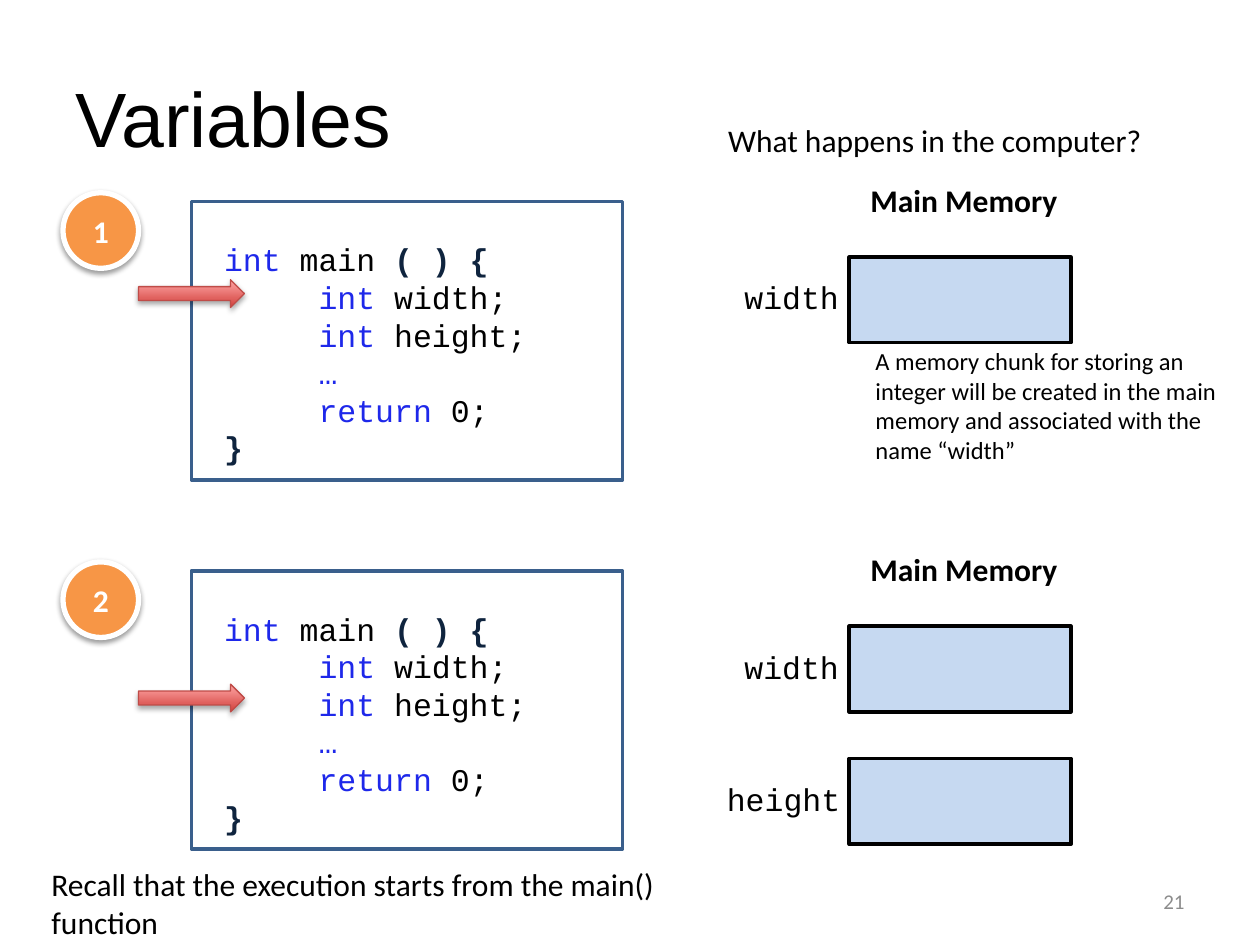
import dataclasses
import typing

import pptx
import pptx.dml.color
import pptx.enum.shapes
import pptx.enum.text
import pptx.oxml
import pptx.oxml.ns
import pptx.util

Inches = pptx.util.Inches
Pt = pptx.util.Pt
Color = pptx.dml.color.RGBColor
Shape = pptx.enum.shapes.MSO_SHAPE
Align = pptx.enum.text.PP_ALIGN
Anchor = pptx.enum.text.MSO_ANCHOR

BLACK = Color(0x00, 0x00, 0x00)
WHITE = Color(0xFF, 0xFF, 0xFF)
GRAY = Color(0x8C, 0x8C, 0x8C)
KEYWORD = Color(0x1E, 0x28, 0xEA)
BRACKET = Color(0x0F, 0x24, 0x3E)
FRAME = Color(0x3A, 0x5F, 0x8C)
MEMORY = Color(0xC6, 0xD9, 0xF1)
ORANGE = Color(0xF7, 0x96, 0x46)
ARROW_DARK = Color(0xD1, 0x40, 0x3C)
ARROW_LIGHT = Color(0xFF, 0xA6, 0xA5)
ARROW_EDGE = Color(0xBF, 0x4C, 0x48)

CODE_FONT = "Courier New"
INDENT = "     "


class Span(typing.NamedTuple):
    text: str
    color: Color = BLACK
    bold: bool = False


@dataclasses.dataclass
class Cell:
    name: str
    label_left: float
    label_width: float
    top: float


@dataclasses.dataclass
class Step:
    number: int
    top: float
    arrow_top: float
    cells: list[Cell]


CODE = [
    [Span("int", KEYWORD), Span(" main "), Span("( ) {", BRACKET, True)],
    [Span(INDENT), Span("int", KEYWORD), Span(" width;")],
    [Span(INDENT), Span("int", KEYWORD), Span(" height;")],
    [Span(INDENT + "…", KEYWORD)],
    [Span(INDENT + "return", KEYWORD), Span(" 0;")],
    [Span("}", BRACKET, True)],
]

STEPS = [
    Step(1, 1.53, 2.22, [Cell("width", 5.81, 0.96, 2.04)]),
    Step(2, 4.46, 5.43, [Cell("width", 5.81, 0.96, 4.97),
                         Cell("height", 5.67, 1.12, 6.02)]),
]


def write(frame, text: str | list[list[Span]], *, size: float = 18,
          font: str = "Calibri", color: Color = BLACK, bold: bool = False,
          align=Align.LEFT, anchor=Anchor.TOP, wrap: bool = True,
          spacing: float | None = None) -> None:
    """Fill a text frame with plain text or with lines of spans."""
    lines = [[Span(text, color, bold)]] if isinstance(text, str) else text
    frame.word_wrap = wrap
    frame.vertical_anchor = anchor
    for index, line in enumerate(lines):
        para = frame.add_paragraph() if index else frame.paragraphs[0]
        para.alignment = align
        if spacing:
            para.line_spacing = Pt(spacing)
        for span in line:
            run = para.add_run()
            run.text = span.text
            run.font.size = Pt(size)
            run.font.name = font
            run.font.bold = span.bold
            run.font.color.rgb = span.color


def add_text(shapes, left: float, top: float, width: float, height: float,
             text: str | list[list[Span]], **style) -> None:
    box = shapes.add_textbox(Inches(left), Inches(top), Inches(width), Inches(height))
    write(box.text_frame, text, **style)


def add_block(shapes, kind, left: float, top: float, width: float, height: float,
              fill: Color | None, line: Color, weight: float):
    block = shapes.add_shape(kind, Inches(left), Inches(top), Inches(width), Inches(height))
    if fill is None:
        block.fill.background()
    else:
        block.fill.solid()
        block.fill.fore_color.rgb = fill
    block.line.color.rgb = line
    block.line.width = Pt(weight)
    block.shadow.inherit = False
    return block


def add_shadow(block, opacity: int, distance: float) -> None:
    effects = block.element.spPr.find(pptx.oxml.ns.qn("a:effectLst"))
    effects.append(pptx.oxml.parse_xml(
        f'<a:outerShdw {pptx.oxml.ns.nsdecls("a")} blurRad="{Pt(3.1)}" '
        f'dist="{Pt(distance)}" dir="5400000" rotWithShape="0">'
        f'<a:srgbClr val="000000"><a:alpha val="{opacity * 1000}"/></a:srgbClr>'
        '</a:outerShdw>'))


def add_code(page, top: float) -> None:
    group = page.shapes.add_group_shape()
    add_block(group.shapes, Shape.RECTANGLE, 1.52, top + 0.07, 3.42, 2.21, None, FRAME, 2)
    add_text(group.shapes, 1.68, top + 0.33, 3.17, 1.89, CODE,
             font=CODE_FONT, spacing=21.5)


def add_badge(page, number: int, top: float) -> None:
    badge = add_block(page.shapes, Shape.OVAL, 0.5, top, 0.6, 0.6, ORANGE, WHITE, 3)
    add_shadow(badge, 38, 1.6)
    write(badge.text_frame, str(number), color=WHITE, bold=True,
          align=Align.CENTER, anchor=Anchor.MIDDLE)


def add_arrow(page, top: float) -> None:
    arrow = add_block(page.shapes, Shape.RIGHT_ARROW, 1.1, top, 0.84, 0.22,
                      ARROW_DARK, ARROW_EDGE, 0.75)
    arrow.fill.gradient()
    arrow.fill.gradient_angle = 90
    for stop, color in zip(arrow.fill.gradient_stops, (ARROW_DARK, ARROW_LIGHT)):
        stop.color.rgb = color
    add_shadow(arrow, 35, 1.8)


def add_cell(page, cell: Cell) -> None:
    add_block(page.shapes, Shape.RECTANGLE, 6.74, cell.top, 1.76, 0.68, MEMORY, BLACK, 2)
    add_text(page.shapes, cell.label_left, cell.top + 0.12, cell.label_width, 0.4,
             cell.name, font=CODE_FONT, wrap=False)


def add_step(page, step: Step) -> None:
    add_code(page, step.top)
    add_text(page.shapes, 6.81, step.top - 0.14, 1.7, 0.4, "Main Memory",
             bold=True, wrap=False)
    for cell in step.cells:
        add_cell(page, cell)
    add_badge(page, step.number, step.top)
    add_arrow(page, step.arrow_top)


def main() -> None:
    deck = pptx.Presentation()
    deck.slide_width, deck.slide_height = Inches(10), Inches(7.5)
    page = deck.slides.add_slide(deck.slide_layouts[5])

    # Title
    title = page.shapes.title
    title.left, title.top = Inches(0.5), Inches(0.3)
    title.width, title.height = Inches(9), Inches(1.25)
    write(title.text_frame, "Variables", size=44, font="Arial", anchor=Anchor.MIDDLE)

    # Program steps beside the memory they create
    for step in STEPS:
        add_step(page, step)

    # Remarks and page number
    add_text(page.shapes, 5.68, 0.91, 3.49, 0.4, "What happens in the computer?", wrap=False)
    add_text(page.shapes, 0.31, 6.82, 5.0, 0.7,
             "Recall that the execution starts from the main() function")
    add_text(page.shapes, 6.85, 2.7, 2.94, 1.04,
             "A memory chunk for storing an integer will be created in the main "
             "memory and associated with the name “width”", size=14)
    add_text(page.shapes, 7.17, 6.95, 2.33, 0.4, "21", size=12, color=GRAY,
             align=Align.RIGHT, anchor=Anchor.MIDDLE)

    deck.save("out.pptx")


if __name__ == "__main__":
    main()
